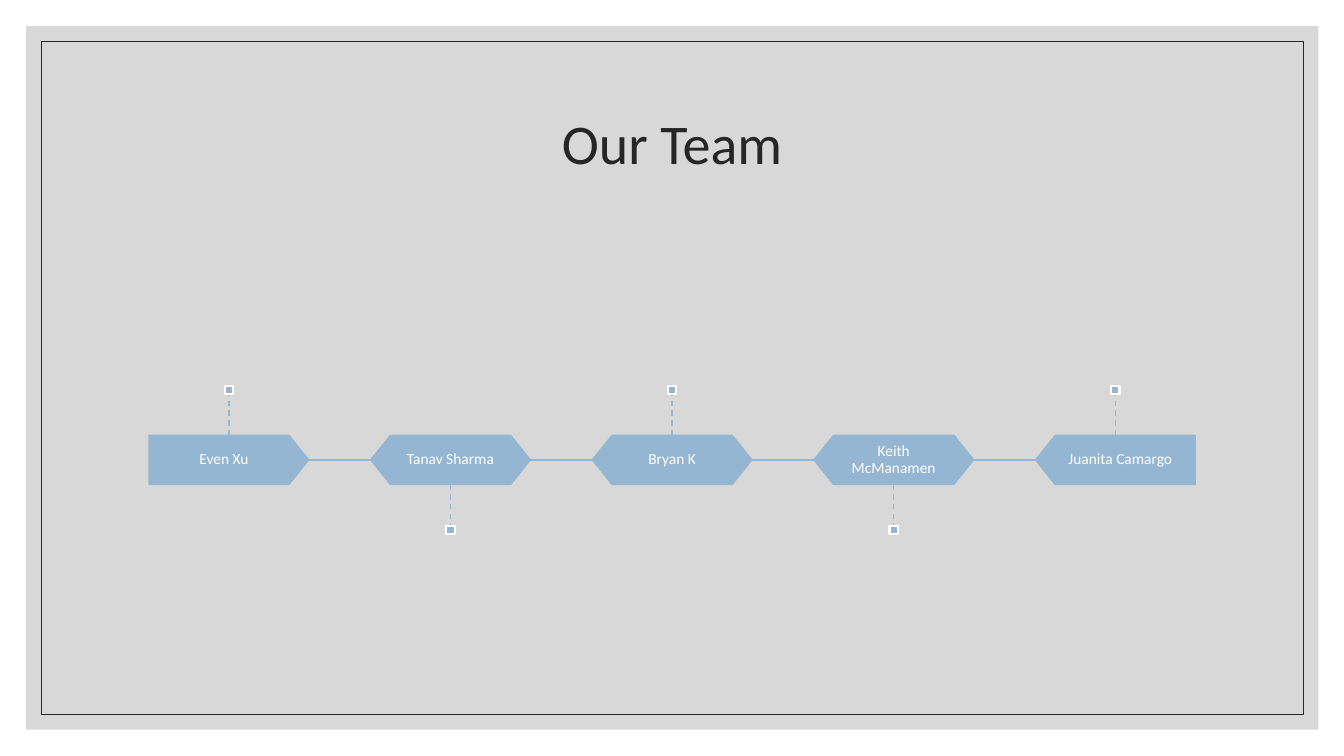
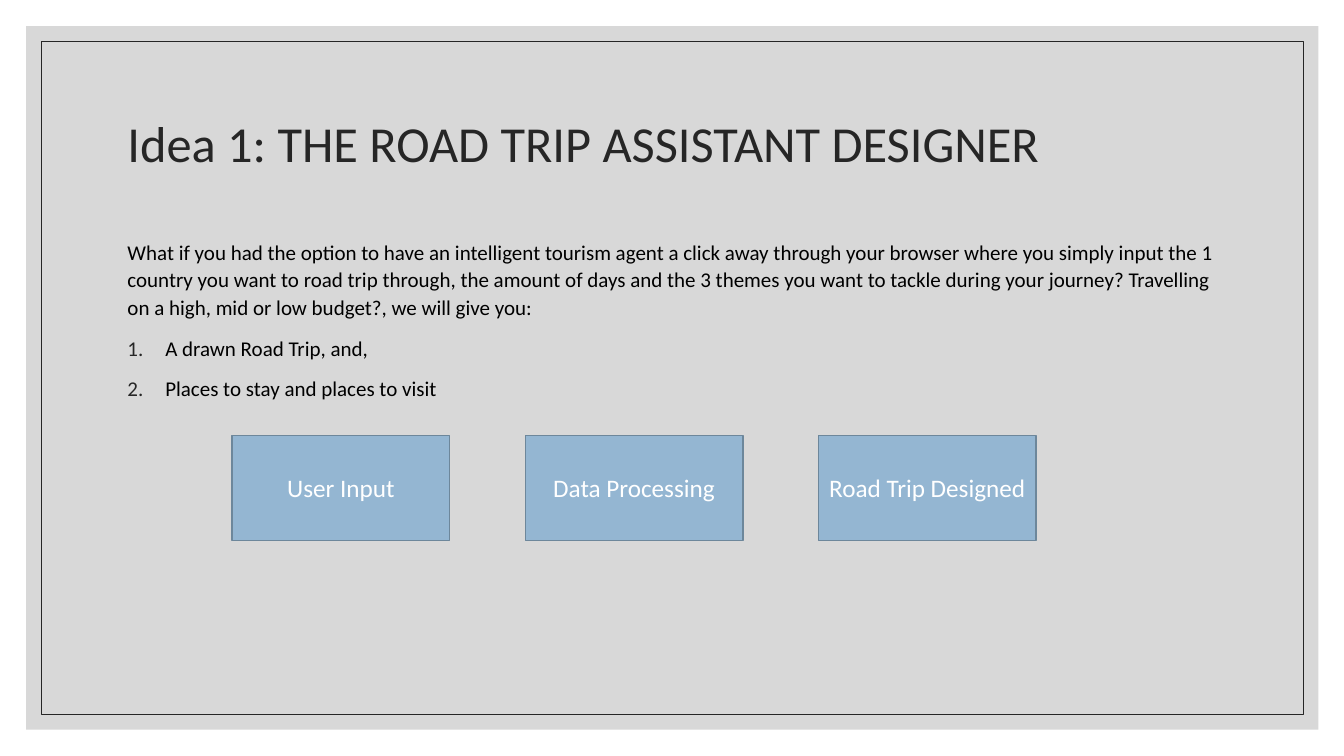
from dataclasses import dataclass

from lxml import etree
from pptx import Presentation
from pptx import util as u
from pptx.dml.color import RGBColor
from pptx.enum import dml, shapes, text
from pptx.oxml.ns import qn

Pt = u.Pt
SHAPE = shapes.MSO_SHAPE
ALIGN = text.PP_ALIGN
ANCHOR = text.MSO_ANCHOR


@dataclass(frozen=True)
class Theme:
    font: str = "Calibri"
    panel: str = "BFBFBF"
    dark: str = "262626"
    black: str = "000000"
    white: str = "FFFFFF"
    accent: str = "94B6D2"
    accent_edge: str = "6D879B"
    title_size: float = 40
    long_title_size: float = 36
    box_size: float = 18
    body_size: float = 15
    label_size: float = 11


class Deck:
    def __init__(self, theme):
        self.theme = theme
        self.presentation = Presentation()
        self.presentation.slide_width = Pt(960)
        self.presentation.slide_height = Pt(540)
        self.slide = None

    def new_slide(self, title, size, align=ALIGN.LEFT):
        self.slide = self.presentation.slides.add_slide(
            self.presentation.slide_layouts[6])
        panel = self.shape(SHAPE.RECTANGLE, 18.7, 18.7, 923, 502.5, fill=self.theme.panel)
        color = panel._element.spPr.find(qn("a:solidFill"))[0]
        etree.SubElement(color, qn("a:alpha"), val="60000")
        self.shape(SHAPE.RECTANGLE, 29.5, 29.5, 901.5, 481,
                   line=self.theme.dark, line_width=0.5)
        frame = self.text_box(84, 50.5, 792, 108, ANCHOR.MIDDLE)
        self.add_text(frame.paragraphs[0], title, size, self.theme.dark, align, 0.9)

    def shape(self, kind, left, top, width, height, fill=None, line=None, line_width=1):
        shape = self.slide.shapes.add_shape(kind, Pt(left), Pt(top), Pt(width), Pt(height))
        shape.shadow.inherit = False
        if fill:
            shape.fill.solid()
            shape.fill.fore_color.rgb = RGBColor.from_string(fill)
        else:
            shape.fill.background()
        if line:
            shape.line.color.rgb = RGBColor.from_string(line)
            shape.line.width = Pt(line_width)
        else:
            shape.line.fill.background()
        return shape

    def line(self, start, end, dashed=False):
        connector = self.slide.shapes.add_connector(
            shapes.MSO_CONNECTOR.STRAIGHT, *(Pt(value) for value in (*start, *end)))
        connector.line.color.rgb = RGBColor.from_string(self.theme.accent)
        connector.line.width = Pt(1)
        if dashed:
            connector.line.dash_style = dml.MSO_LINE.DASH
        etree.SubElement(connector._element.spPr, qn("a:effectLst"))

    def text_box(self, left, top, width, height, anchor=ANCHOR.TOP):
        box = self.slide.shapes.add_textbox(Pt(left), Pt(top), Pt(width), Pt(height))
        frame = box.text_frame
        frame.word_wrap = True
        frame.vertical_anchor = anchor
        return frame

    def add_text(self, paragraph, words, size, color, align=ALIGN.LEFT, spacing=1.0):
        paragraph.alignment = align
        paragraph.line_spacing = spacing
        run = paragraph.add_run()
        run.text = words
        run.font.name = self.theme.font
        run.font.size = Pt(size)
        run.font.color.rgb = RGBColor.from_string(color)

    def number(self, paragraph):
        """Make the paragraph an item of a numbered list."""
        properties = paragraph._p.get_or_add_pPr()
        properties.set("marL", str(Pt(27)))
        properties.set("indent", str(-Pt(27)))
        color = etree.SubElement(properties, qn("a:buClr"))
        etree.SubElement(color, qn("a:srgbClr"), val=self.theme.dark)
        etree.SubElement(properties, qn("a:buAutoNum"), type="arabicPeriod")

    def body(self, intro, items):
        frame = self.text_box(84, 165.6, 792, 303)
        style = (self.theme.body_size, self.theme.black, ALIGN.LEFT, 1.1)
        self.add_text(frame.paragraphs[0], intro, *style)
        for item in items:
            paragraph = frame.add_paragraph()
            paragraph.space_before = Pt(9)
            self.number(paragraph)
            self.add_text(paragraph, item, *style)

    def box(self, label, left, top, width, height):
        shape = self.shape(SHAPE.RECTANGLE, left, top, width, height,
                           self.theme.accent, self.theme.accent_edge)
        frame = shape.text_frame
        frame.word_wrap = True
        frame.margin_left = frame.margin_right = Pt(3.6)
        frame.vertical_anchor = ANCHOR.MIDDLE
        self.add_text(frame.paragraphs[0], label, self.theme.box_size,
                      self.theme.white, ALIGN.CENTER)

    def marker(self, center, edge, direction):
        """Dashed stem from the edge of a link, up (-1) or down (1), to a small square."""
        size, stem = 6, 29.5
        tip = edge + direction * stem
        self.line((center, edge), (center, tip), dashed=True)
        self.shape(SHAPE.RECTANGLE, center - size / 2, min(tip, tip + direction * size),
                   size, size, self.theme.accent, self.theme.white, 1.5)

    def chain(self, names):
        left, top, width, height, step = 106.5, 311, 114, 35, 158.3
        last = len(names) - 1
        for index, name in enumerate(names):
            x = left + index * step
            at_end = index in (0, last)
            link = self.shape(SHAPE.PENTAGON if at_end else SHAPE.HEXAGON,
                              x, top, width, height, self.theme.accent, self.theme.accent)
            link.adjustments[0] = 0.4
            if index == last:
                link.rotation = 180
            else:
                middle = top + height / 2
                self.line((x + width, middle), (x + step, middle))
            if at_end:
                text_left, text_width = x + (7 if index else 0), width - 7
            else:
                text_left, text_width = x + 14, width - 28
            frame = self.text_box(text_left, top, text_width, height, ANCHOR.MIDDLE)
            frame.margin_left = frame.margin_right = Pt(6.5)
            self.add_text(frame.paragraphs[0], name, self.theme.label_size,
                          self.theme.white, ALIGN.CENTER, 0.9)
            direction = 1 if index % 2 else -1
            self.marker(x + width / 2, top + height if index % 2 else top, direction)


def main():
    theme = Theme()
    deck = Deck(theme)

    deck.new_slide("Our Team", theme.title_size, ALIGN.CENTER)
    deck.chain(["Even Xu", "Tanav Sharma", "Bryan K", "Keith McManamen", "Juanita Camargo"])

    deck.new_slide("Idea 1: THE ROAD TRIP ASSISTANT DESIGNER", theme.long_title_size)
    deck.body(
        "What if you had the option to have an intelligent tourism agent a click away "
        "through your browser where you simply input the 1 country you want to road trip "
        "through, the amount of days and the 3 themes you want to tackle during your "
        "journey? Travelling on a high, mid or low budget?, we will give you:",
        ["A drawn Road Trip, and,", "Places to stay and places to visit"])
    for index, label in enumerate(["User Input", "Data Processing", "Road Trip Designed"]):
        deck.box(label, 165.8 + index * 209.4, 311, 155.5, 75)

    deck.presentation.save("out.pptx")


if __name__ == "__main__":
    main()
